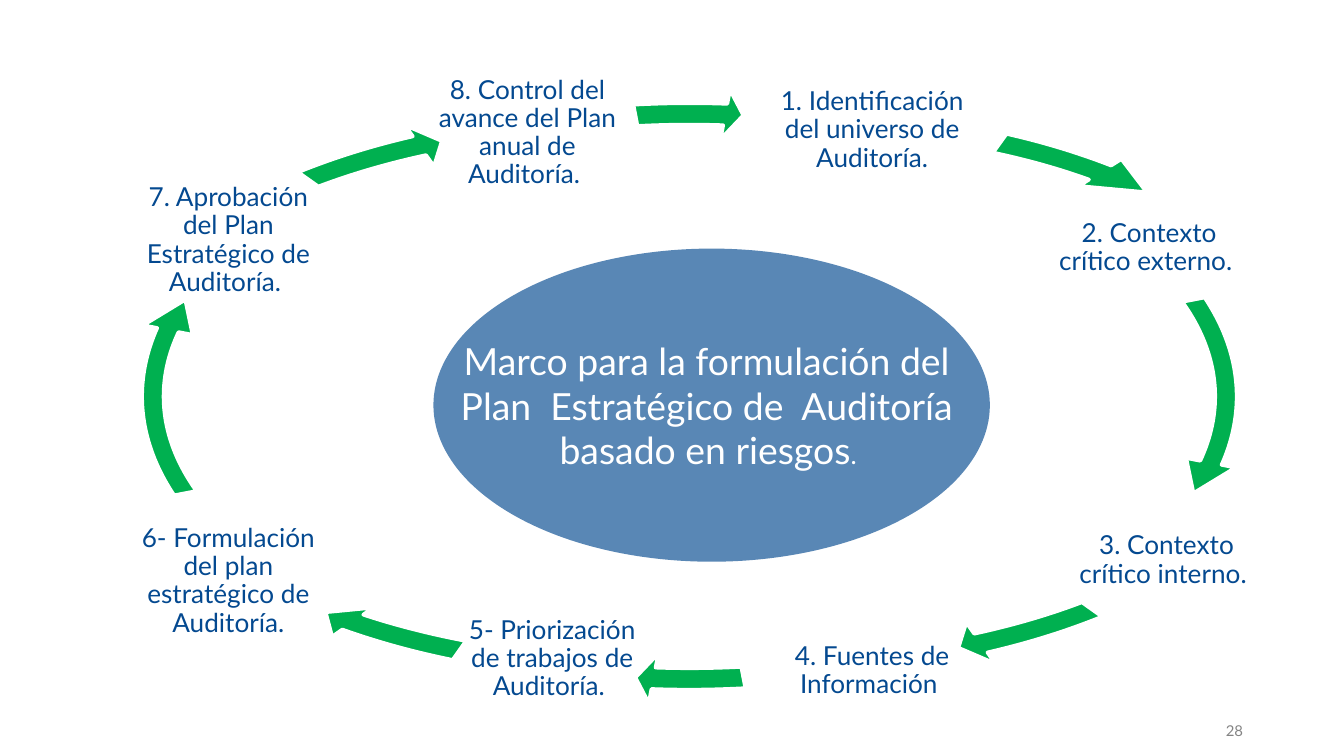
from dataclasses import dataclass

from lxml.etree import SubElement
from pptx import Presentation
from pptx.dml.color import RGBColor as Rgb
from pptx.enum.shapes import MSO_SHAPE as Kind
from pptx.enum.text import MSO_ANCHOR as Anchor, PP_ALIGN as Align
from pptx.oxml.ns import qn
from pptx.util import Emu, Pt

PX = 4572
WIDTH, HEIGHT = 2000, 1125


@dataclass(frozen=True)
class Theme:
    font: str = "Lato"
    navy: Rgb = Rgb(0x04, 0x49, 0x90)
    green: Rgb = Rgb(0x00, 0xB0, 0x50)
    white: Rgb = Rgb(0xFF, 0xFF, 0xFF)
    gray: Rgb = Rgb(0x84, 0x84, 0x84)
    step: int = 14
    hub: int = 20
    page: int = 8
    alpha: int = 66
    edge: int = 2


@dataclass(frozen=True)
class Box:
    x: int
    y: int
    w: int
    h: int

    def emu(self) -> tuple:
        return tuple(Emu(n * PX) for n in (self.x, self.y, self.w, self.h))


@dataclass(frozen=True)
class Step:
    text: str
    box: Box
    ring: Box
    pad: int = 12
    head: float = 3.62
    start: float = 305.23


THEME = Theme()
RING = Box(190, 132, 1672, 916)
STEPS = [
    Step("1. Identificación del universo de Auditoría.",
         Box(1148, 112, 300, 164), Box(404, 146, 1604, 916),
         4, 6.45, 305.79),
    Step("2. Contexto crítico externo. ",
         Box(1558, 288, 304, 162), RING, 4, start=349.13),
    Step("3. Contexto crítico interno. ",
         Box(1586, 752, 300, 164), Box(312, 112, 1672, 916), 4),
    Step("4. Fuentes de Información ",
         Box(1148, 917, 300, 164), RING, start=349.13),
    Step("5- Priorización de trabajos de Auditoría. ",
         Box(682, 899, 280, 164), Box(126, 116, 1672, 916)),
    Step("6- Formulación del plan estratégico de Auditoría.",
         Box(190, 783, 300, 164), RING, start=349.13),
    Step("7. Aprobación del Plan Estratégico de Auditoría. ",
         Box(190, 276, 300, 164), Box(100, 146, 1672, 916)),
    Step("8. Control del avance del Plan anual de Auditoría. ",
         Box(635, 116, 300, 164), RING, start=349.13),
]
HUB = Box(645, 370, 828, 466)
HUB_TEXT = ("Marco para la formulación del \n"
            "Plan  Estratégico de  Auditoría \n"
            "basado en riesgos")
PAGE = Box(1786, 1074, 64, 26)


def style(run, size: int, color: Rgb) -> None:
    run.font.name = THEME.font
    run.font.size = Pt(size)
    run.font.color.rgb = color


def write(shape, text: str, size: int, color: Rgb, pad: int,
          align=Align.CENTER, anchor=Anchor.MIDDLE,
          wrap: bool = True, lead: float = 1.0) -> None:
    frame = shape.text_frame
    frame.text = text
    frame.word_wrap = wrap
    frame.vertical_anchor = anchor
    frame.margin_left = frame.margin_right = Emu(pad * PX)
    frame.margin_top = frame.margin_bottom = Emu(pad * PX)
    for para in frame.paragraphs:
        para.alignment = align
        para.line_spacing = lead
        for run in para.runs:
            style(run, size, color)


def draw_step(slide, step: Step) -> None:
    label = slide.shapes.add_textbox(*step.box.emu())
    write(label, step.text, THEME.step, THEME.navy, step.pad, lead=0.9)


def draw_arrow(slide, step: Step, rank: int) -> None:
    turn = rank // 2 * 90
    start = (step.start + turn) % 360
    end = ((7.25 if rank % 2 else 321.15) + turn) % 360
    arrow = slide.shapes.add_shape(Kind.CIRCULAR_ARROW, *step.ring.emu())
    arrow.shadow.inherit = False
    arrow.fill.solid()
    arrow.fill.fore_color.rgb = THEME.green
    arrow.line.color.rgb = THEME.white
    arrow.line.width = Pt(THEME.edge)
    arrow.adjustments[0] = 0.035
    for spot, angle in enumerate((step.head, end, start), 1):
        arrow.adjustments[spot] = angle * 0.6
    arrow.adjustments[4] = 0.041


def draw_hub(slide) -> None:
    hub = slide.shapes.add_shape(Kind.OVAL, *HUB.emu())
    hub.shadow.inherit = False
    hub.fill.solid()
    hub.fill.fore_color.rgb = THEME.navy
    tint = hub.fill._xPr.find(qn("a:solidFill"))[0]
    SubElement(tint, qn("a:alpha"), val=str(THEME.alpha * 1000))
    hub.line.fill.background()
    write(hub, HUB_TEXT, THEME.hub, THEME.white, 50, wrap=False)
    stop = hub.text_frame.paragraphs[-1].add_run()
    stop.text = ". "
    style(stop, THEME.step, THEME.white)


def draw_page(slide) -> None:
    page = slide.shapes.add_textbox(*PAGE.emu())
    write(page, "28", THEME.page, THEME.gray, 0, Align.RIGHT, Anchor.BOTTOM)


def main() -> None:
    deck = Presentation()
    deck.slide_width, deck.slide_height = Emu(WIDTH * PX), Emu(HEIGHT * PX)
    slide = deck.slides.add_slide(deck.slide_layouts[6])
    draw_page(slide)
    for rank, step in enumerate(STEPS):
        draw_step(slide, step)
        draw_arrow(slide, step, rank)
    draw_hub(slide)
    deck.save("out.pptx")


if __name__ == "__main__":
    main()
